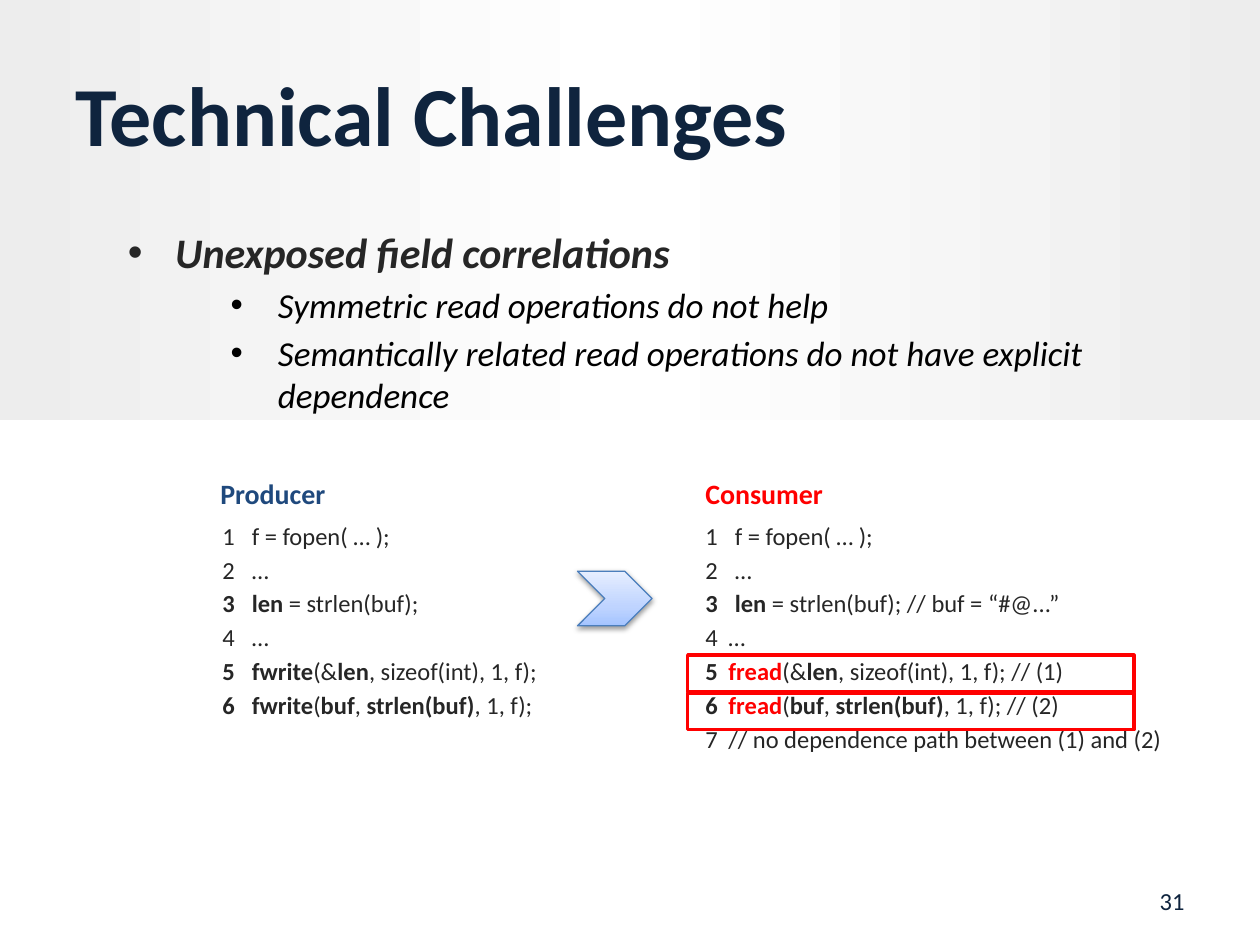
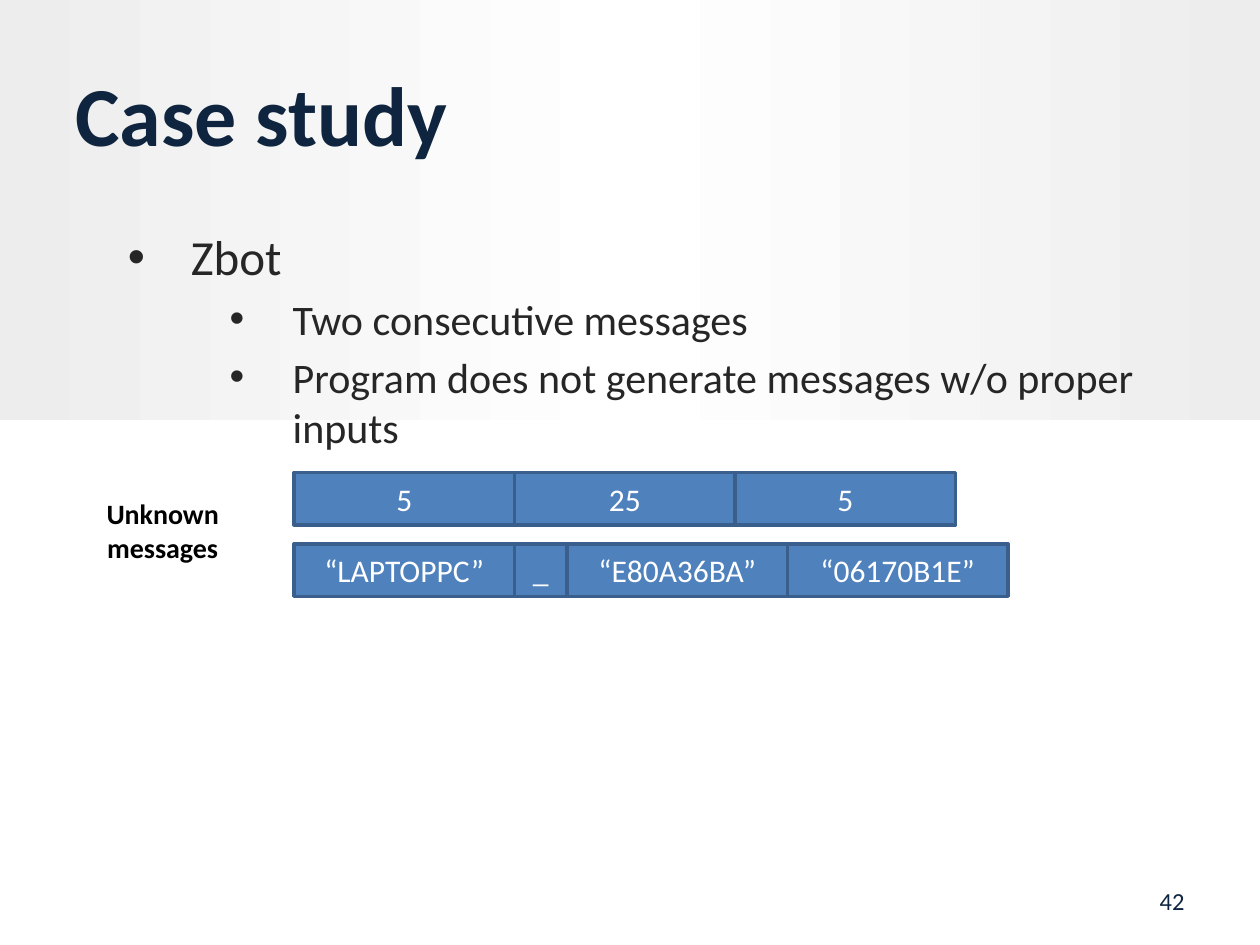
from dataclasses import dataclass

from lxml import etree
from pptx import Presentation
from pptx.dml.color import RGBColor
from pptx.enum.shapes import MSO_SHAPE
from pptx.enum.text import MSO_ANCHOR, PP_ALIGN
from pptx.oxml import parse_xml
from pptx.oxml.ns import nsdecls, qn
from pptx.util import Pt

PX = 7620
RECTANGLE, CHEVRON = MSO_SHAPE.RECTANGLE, MSO_SHAPE.CHEVRON
TOP, MIDDLE = MSO_ANCHOR.TOP, MSO_ANCHOR.MIDDLE
LEFT, CENTER, RIGHT = PP_ALIGN.LEFT, PP_ALIGN.CENTER, PP_ALIGN.RIGHT


@dataclass(frozen=True)
class Theme:
    font: str = "Calibri"
    navy: str = "0F243E"
    ink: str = "262626"
    black: str = "000000"
    white: str = "FFFFFF"
    red: str = "FF0000"
    producer: str = "1F497D"
    field: str = "4F81BD"
    field_edge: str = "3A5F8C"
    arrow_edge: str = "4B7EBC"
    band_stops: tuple = ((0, "EDEDED"), (50, "FFFFFF"), (100, "EDEDED"))
    arrow_stops: tuple = ((0, "A4C4FF"), (35, "BFD4FF"), (100, "E6EEFF"))
    title: int = 48
    lead: int = 28
    point: int = 24
    detail: int = 20
    field_text: int = 18
    label: int = 16
    small: int = 14
    gap: float = 0.18


@dataclass
class Line:
    runs: list
    size: int
    color: str
    bold: bool = False
    italic: bool = False
    level: int = 0
    left: int = 0
    hang: int = 0
    tab: int = 0
    spaced: bool = False


THEME = Theme()


def add_text(slide, box, lines, align=LEFT, anchor=TOP, fill=None):
    area = [length * PX for length in box]
    if fill:
        holder = slide.shapes.add_shape(RECTANGLE, *area)
        holder.shadow.inherit = False
        holder.fill.solid()
        holder.fill.fore_color.rgb = RGBColor.from_string(fill)
        holder.line.color.rgb = RGBColor.from_string(THEME.field_edge)
        holder.line.width = Pt(2)
    else:
        holder = slide.shapes.add_textbox(*area)
    frame = holder.text_frame
    frame.word_wrap = True
    frame.vertical_anchor = anchor
    for index, line in enumerate(lines):
        paragraph = frame.add_paragraph() if index else frame.paragraphs[0]
        paragraph.alignment = align
        paragraph.level = line.level
        if line.spaced:
            paragraph.space_before = Pt(line.size * THEME.gap)
        properties = paragraph._p.get_or_add_pPr()
        if line.hang:
            properties.set("marL", str(line.left * PX))
            properties.set("indent", str(-line.hang * PX))
            etree.SubElement(properties, qn("a:buFont"), typeface="Arial")
            etree.SubElement(properties, qn("a:buChar"), char="•")
        if line.tab:
            stops = etree.SubElement(properties, qn("a:tabLst"))
            etree.SubElement(stops, qn("a:tab"), pos=str(line.tab * PX), algn="l")
        font = paragraph.font
        font.name = THEME.font
        font.size = Pt(line.size)
        font.bold = line.bold
        font.italic = line.italic
        font.color.rgb = RGBColor.from_string(line.color)
        for text, *style in line.runs:
            run = paragraph.add_run()
            run.text = text
            if style:
                run.font.bold = True
                run.font.color.rgb = RGBColor.from_string(style[0])


def add_gradient(slide, preset, box, stops, angle):
    shape = slide.shapes.add_shape(preset, *[length * PX for length in box])
    shape.shadow.inherit = False
    shape.line.fill.background()
    shape.fill.background()
    colours = "".join(
        f'<a:gs pos="{position * 1000}"><a:srgbClr val="{colour}"/></a:gs>'
        for position, colour in stops
    )
    gradient = parse_xml(
        f'<a:gradFill {nsdecls("a")} rotWithShape="1"><a:gsLst>{colours}</a:gsLst>'
        f'<a:lin ang="{angle * 60000}" scaled="0"/></a:gradFill>'
    )
    properties = shape._element.spPr
    properties.replace(properties.find(qn("a:noFill")), gradient)
    return shape


deck = Presentation()
deck.slide_width = 1200 * PX
deck.slide_height = 900 * PX

slides = []
for heading, number in (("Technical Challenges", "31"), ("Case study", "42")):
    slide = deck.slides.add_slide(deck.slide_layouts[6])
    add_gradient(slide, RECTANGLE, (0, 0, 1200, 400), THEME.band_stops, 0)
    add_text(slide, (60, 36, 1080, 144),
             [Line([(heading,)], THEME.title, THEME.navy, bold=True)], anchor=MIDDLE)
    add_text(slide, (860, 834, 280, 48),
             [Line([(number,)], THEME.small, THEME.navy)], RIGHT, MIDDLE)
    slides.append(slide)
challenges, case_study = slides

body_box = (110, 210, 1030, 594)
correlations = [Line([("Unexposed field correlations",)], THEME.point, THEME.ink,
                     bold=True, italic=True, left=45, hang=45, spaced=True)]
for point in ("Symmetric read operations do not help",
              "Semantically related read operations do not have explicit dependence"):
    correlations.append(Line([(point,)], THEME.detail, THEME.black, italic=True,
                             level=1, left=143, hang=45, spaced=True))
add_text(challenges, body_box, correlations)

strong, alert = THEME.ink, THEME.red
producer_code = [
    (28, [("1\tf = fopen( … );",)]),
    (28, [("2\t…",)]),
    (28, [("3\tlen ", strong), ("= strlen(buf);",)]),
    (28, [("4\t…",)]),
    (28, [("5\tfwrite", strong), ("(&",), ("len", strong), (", sizeof(int), 1, f);",)]),
    (28, [("6\tfwrite", strong), ("(",), ("buf", strong), (", ",),
          ("strlen(buf)", strong), (", 1, f);",)]),
]
consumer_code = [
    (28, [("1\tf = fopen( … );",)]),
    (28, [("2\t…",)]),
    (28, [("3\tlen ", strong), ("= strlen(buf); // buf = “#@...”",)]),
    (22, [("4\t…",)]),
    (22, [("5\t", strong), ("fread", alert), ("(&",), ("len", strong),
          (", sizeof(int), 1, f); // (1)",)]),
    (22, [("6\t", strong), ("fread", alert), ("(",), ("buf", strong), (", ",),
          ("strlen(buf)", strong), (", 1, f); // (2)",)]),
    (22, [("7\t// no dependence path between (1) and (2)",)]),
]
for role, label_left, code_left, colour, code in (
    ("Producer", 198, 200, THEME.producer, producer_code),
    ("Consumer", 660, 660, THEME.red, consumer_code),
):
    add_text(challenges, (label_left, 448, 439, 44),
             [Line([(role,)], THEME.label, colour, bold=True)])
    add_text(challenges, (code_left, 490, 540, 334),
             [Line(runs, THEME.small, THEME.ink, tab=tab, spaced=True)
              for tab, runs in code])

flow_arrow = add_gradient(challenges, CHEVRON, (550, 544, 71, 52), THEME.arrow_stops, 270)
flow_arrow.line.color.rgb = RGBColor.from_string(THEME.arrow_edge)
flow_arrow.line.width = Pt(0.75)
flow_arrow._element.spPr.find(qn("a:effectLst")).append(parse_xml(
    f'<a:outerShdw {nsdecls("a")} blurRad="{Pt(3.1)}" dist="{Pt(1.6)}" dir="5400000" '
    f'rotWithShape="0"><a:srgbClr val="{THEME.black}"><a:alpha val="38000"/></a:srgbClr>'
    '</a:outerShdw>'
))

for top in (624, 660):
    read_frame = challenges.shapes.add_shape(
        RECTANGLE, *[length * PX for length in (655, top, 425, 35)])
    read_frame.shadow.inherit = False
    read_frame.fill.background()
    read_frame.line.color.rgb = RGBColor.from_string(THEME.red)
    read_frame.line.width = Pt(2)

findings = [Line([("Zbot",)], THEME.lead, THEME.ink, left=60, hang=60, spaced=True)]
for point in ("Two consecutive messages",
              "Program does not generate messages w/o proper inputs"):
    findings.append(Line([(point,)], THEME.point, THEME.ink,
                         level=1, left=157, hang=60, spaced=True))
add_text(case_study, body_box, findings)

messages = (
    (450, (("5", 210), ("25", 210), ("5", 210))),
    (518, (("“LAPTOPPC”", 210), ("_", 50), ("“E80A36BA”", 210), ("“06170B1E”", 210))),
)
for top, fields in messages:
    left = 280
    for content, width in fields:
        add_text(case_study, (left, top, width, 50),
                 [Line([(content,)], THEME.field_text, THEME.white)],
                 CENTER, MIDDLE, THEME.field)
        left += width
add_text(case_study, (50, 480, 210, 50),
         [Line([("Unknown messages",)], THEME.label, THEME.black, bold=True)],
         CENTER, MIDDLE)

deck.save("out.pptx")
